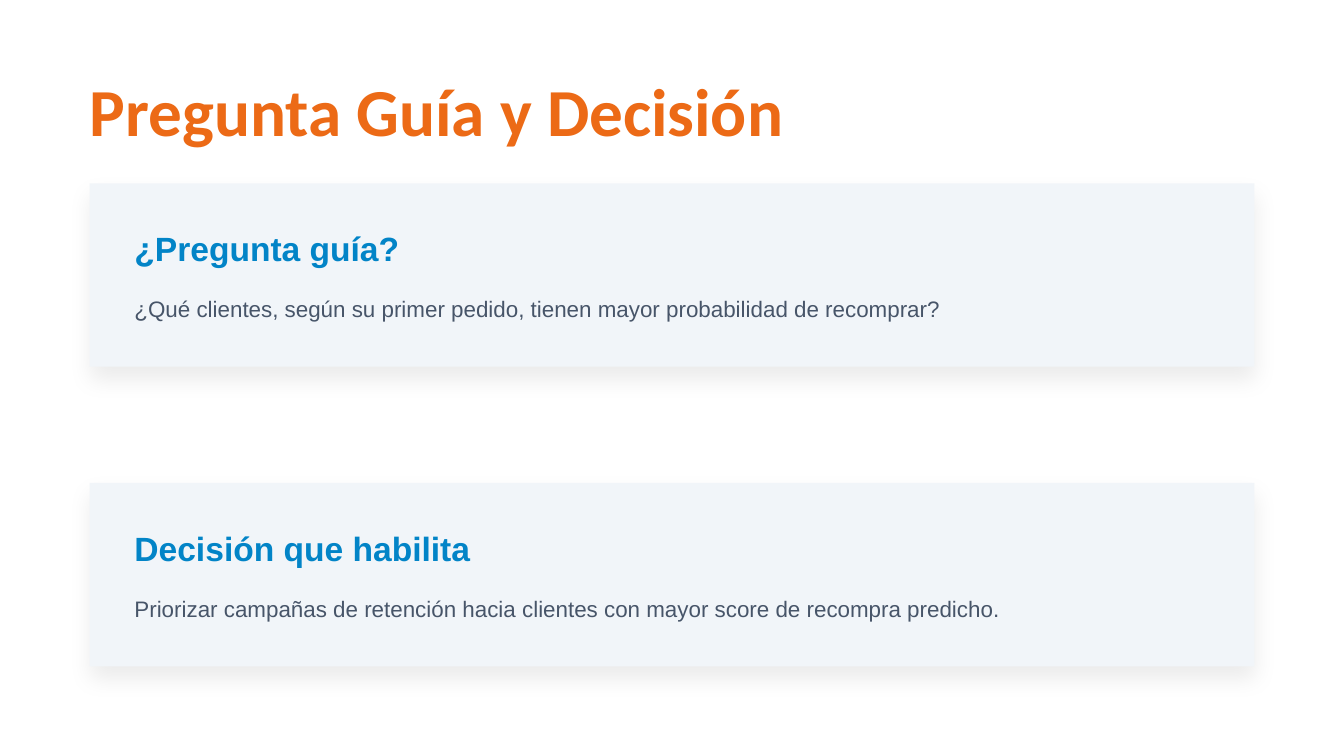
from dataclasses import dataclass

from lxml.etree import SubElement as Sub
from pptx import Presentation
from pptx.dml.color import RGBColor as Rgb
from pptx.enum.shapes import MSO_SHAPE as Kind
from pptx.oxml.ns import qn
from pptx.util import Pt

PX = 9525  # EMU in one px
HUES = {
    "title": "EC6A16",
    "head": "0284C7",
    "body": "475569",
    "card": "F1F5F9",
    "shade": "000000",
}


@dataclass
class Style:
    font: str
    size: int
    lead: float
    hue: str
    bold: bool
    high: int


@dataclass
class Card:
    top: int
    head: str
    body: str


TITLE = Style("Calibri", 36, 32.4, "title", True, 43)
HEAD = Style("Arial", 18, 21.6, "head", True, 29)
BODY = Style("Arial", 12, 16.8, "body", False, 22)

EDGE = 64
WIDE, HIGH = 832, 131
PAD = 32
CARDS = [
    Card(131, "¿Pregunta guía?",
         "¿Qué clientes, según su primer pedido, tienen mayor probabilidad de recomprar?"),
    Card(345, "Decisión que habilita",
         "Priorizar campañas de retención hacia clientes con mayor score de recompra predicho."),
]


def write(slide, text: str, left: int, top: int, wide: int, style: Style) -> None:
    box = slide.shapes.add_textbox(left * PX, top * PX, wide * PX, style.high * PX)
    frame = box.text_frame
    frame.word_wrap = True
    frame.margin_left = frame.margin_right = 0
    frame.margin_top = frame.margin_bottom = 0
    frame.text = text
    para = frame.paragraphs[0]
    para.line_spacing = Pt(style.lead)
    font = para.runs[0].font
    font.name, font.size, font.bold = style.font, Pt(style.size), style.bold
    font.color.rgb = Rgb.from_string(HUES[style.hue])


def shade(shape) -> None:
    """Soft shadow straight below the shape."""
    shape.shadow.inherit = False
    list_ = shape._element.spPr.find(qn("a:effectLst"))
    outer = Sub(list_, qn("a:outerShdw"), blurRad=str(16 * PX), dist=str(8 * PX),
                dir="5400000", algn="bl", rotWithShape="0")
    tint = Sub(outer, qn("a:srgbClr"), val=HUES["shade"])
    Sub(tint, qn("a:alpha"), val="8000")


def panel(slide, card: Card) -> None:
    rect = slide.shapes.add_shape(
        Kind.RECTANGLE, EDGE * PX, card.top * PX, WIDE * PX, HIGH * PX)
    rect.fill.solid()
    rect.fill.fore_color.rgb = Rgb.from_string(HUES["card"])
    rect.line.fill.background()
    shade(rect)


def label(slide, card: Card) -> None:
    left = EDGE + PAD
    write(slide, card.head, left, card.top + PAD, 783, HEAD)
    write(slide, card.body, left, card.top + 77, 783, BODY)


def main() -> None:
    deck = Presentation()
    deck.slide_width, deck.slide_height = 960 * PX, 540 * PX
    slide = deck.slides.add_slide(deck.slide_layouts[6])

    # Card backs
    for card in CARDS:
        panel(slide, card)

    # Title and card texts
    write(slide, "Pregunta Guía y Decisión", EDGE, 64, 849, TITLE)
    for card in CARDS:
        label(slide, card)

    deck.save("out.pptx")


if __name__ == "__main__":
    main()
